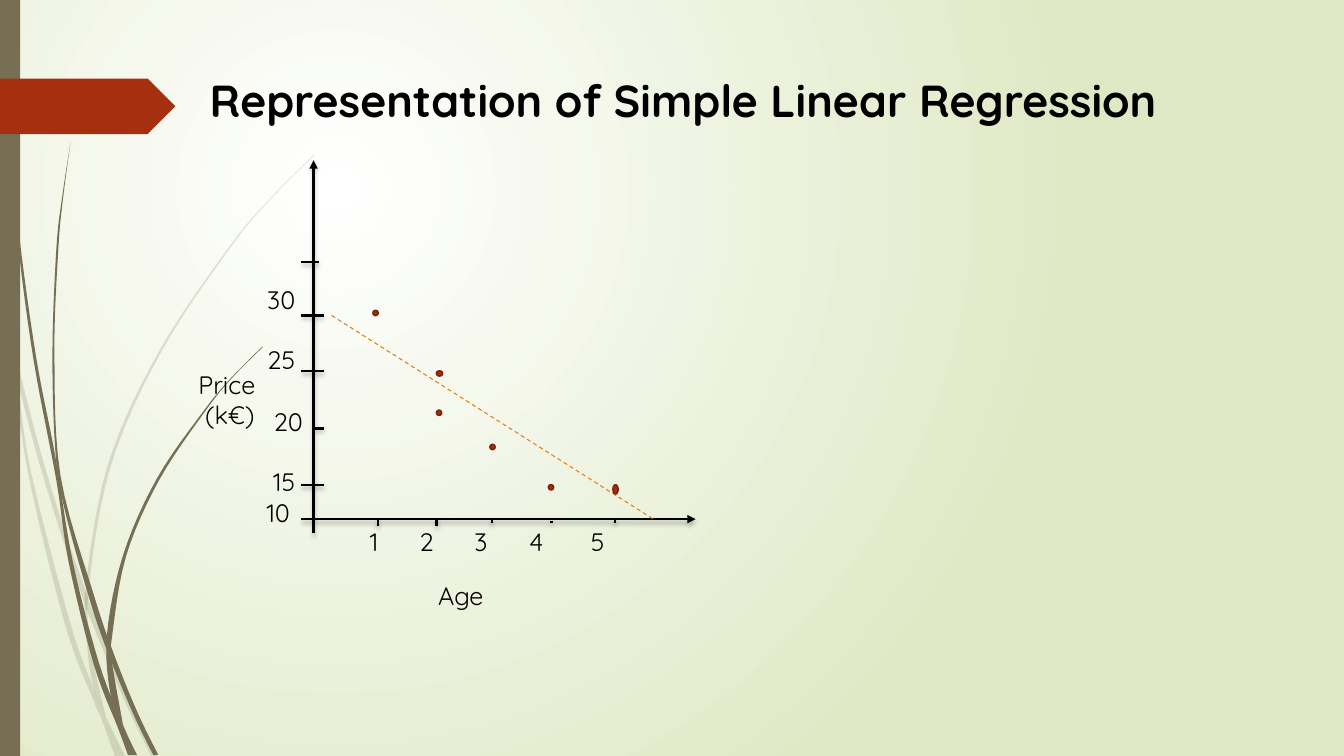
from lxml.etree import SubElement
from pptx import Presentation
from pptx.dml.color import RGBColor
from pptx.enum.dml import MSO_LINE
from pptx.enum.shapes import MSO_CONNECTOR, MSO_SHAPE
from pptx.enum.text import MSO_ANCHOR, PP_ALIGN
from pptx.oxml.ns import qn
from pptx.util import Inches, Pt

BLACK = RGBColor(0x00, 0x00, 0x00)
WHITE = RGBColor(0xFF, 0xFF, 0xFF)
PALE_GREEN = RGBColor(0xDF, 0xE8, 0xC4)
OLIVE = RGBColor(0x76, 0x6F, 0x54)
RED = RGBColor(0xA5, 0x30, 0x10)
DARK_RED = RGBColor(0x7A, 0x24, 0x0C)
DOT_RED = RGBColor(0x9E, 0x2E, 0x0F)
ORANGE = RGBColor(0xDE, 0x7E, 0x18)
FONT = "Quicksand"

presentation = Presentation()
presentation.slide_width = Inches(13.33)
presentation.slide_height = Inches(7.5)
slide = presentation.slides.add_slide(presentation.slide_layouts[5])
shapes = slide.shapes


def add_line(x1, y1, x2, y2, color=BLACK, width=1.75, shadow=True, arrow=False):
    line = shapes.add_connector(
        MSO_CONNECTOR.STRAIGHT, Inches(x1), Inches(y1), Inches(x2), Inches(y2)
    )
    line.line.color.rgb = color
    line.line.width = Pt(width)
    properties = line._element.spPr
    if arrow:
        SubElement(properties.find(qn("a:ln")), qn("a:tailEnd"), type="triangle")
    effects = SubElement(properties, qn("a:effectLst"))
    if shadow:
        outer = SubElement(effects, qn("a:outerShdw"), blurRad=str(Pt(3)),
                           dist=str(Pt(2)), dir="5400000", rotWithShape="0")
        shade = SubElement(outer, qn("a:srgbClr"), val="000000")
        SubElement(shade, qn("a:alpha"), val="25000")
    return line


def add_label(text, center_x, center_y):
    width, height = 1, 0.32
    label = shapes.add_textbox(Inches(center_x - width / 2), Inches(center_y - height / 2),
                               Inches(width), Inches(height))
    frame = label.text_frame
    frame.word_wrap = True
    frame.margin_left = frame.margin_right = frame.margin_top = frame.margin_bottom = 0
    frame.vertical_anchor = MSO_ANCHOR.MIDDLE
    frame.text = text
    paragraph = frame.paragraphs[0]
    paragraph.alignment = PP_ALIGN.CENTER
    font = paragraph.runs[0].font
    font.name, font.size, font.color.rgb = FONT, Pt(18), BLACK


background = slide.background.fill
background.gradient()
for stop, color in zip(background.gradient_stops, (WHITE, PALE_GREEN)):
    stop.color.rgb = color
gradient = next(slide.element.iter(qn("a:gradFill")))
gradient.remove(gradient.find(qn("a:lin")))
circle = SubElement(gradient, qn("a:path"))
circle.set("path", "circle")
SubElement(circle, qn("a:fillToRect"), l="50000", t="50000", r="100000", b="100000")

grass_blades = [
    (20, [(0, 2.99), (0.1, 3.44), (0.17, 3.76), (0.36, 4.49), (0.58, 5.22), (0.84, 5.99),
          (0.88, 6.1), (1.23, 6.94), (1.5, 7.5)],
     [(0, 2.82), (0.09, 3.22), (0.14, 3.45), (0.36, 4.33), (0.62, 5.2), (0.85, 5.86),
      (0.92, 6.07), (1.27, 6.92), (1.55, 7.5)]),
    (20, [(0.11, 3.5), (0.28, 4.7), (0.65, 6.21), (0.92, 6.93), (1.01, 7.14), (1.14, 7.5)],
     [(0.11, 3.5), (0.17, 3.76), (0.31, 4.69), (0.7, 6.19), (0.93, 6.83), (1.05, 7.11),
      (1.24, 7.5)]),
    (20, [(3.12, 1.53), (2.68, 1.97), (2.28, 2.44), (1.58, 3.48), (1.07, 4.61), (0.85, 5.84),
          (0.87, 6.46), (0.93, 6.83), (1.05, 7.11)],
     [(3.12, 1.54), (2.68, 1.98), (2.29, 2.45), (1.6, 3.49), (1.1, 4.62), (0.88, 5.84),
      (0.91, 6.46), (1.05, 7.11)]),
    (100, [(0.03, 0), (0.04, 0.48), (0.07, 1.1), (0.17, 2.33), (0.33, 3.55), (0.56, 4.77),
           (0.68, 5.57), (0.93, 6.59), (1.17, 7.22), (1.27, 7.49)],
     [(0.04, 0), (0.05, 0.48), (0.08, 1.09), (0.19, 2.32), (0.36, 3.55), (0.55, 4.53),
      (0.72, 5.56), (0.98, 6.57), (1.22, 7.19), (1.36, 7.49)]),
    (100, [(0.7, 1.41), (0.62, 1.93), (0.56, 2.45), (0.52, 3.49), (0.55, 4.49), (0.64, 5.05),
           (0.88, 5.92), (1.06, 6.45), (1.32, 7.08), (1.52, 7.49)],
     [(0.7, 1.41), (0.63, 1.93), (0.58, 2.45), (0.54, 3.49), (0.6, 4.72), (0.93, 5.9),
      (1.13, 6.49), (1.36, 7.06), (1.57, 7.49)]),
    (100, [(2.6, 3.44), (2.31, 3.73), (2.04, 4.05), (1.56, 4.74), (1.22, 5.51), (1.06, 6.31),
           (1.1, 6.91), (1.22, 7.19)],
     [(2.61, 3.44), (2.31, 3.74), (2.05, 4.06), (1.58, 4.76), (1.25, 5.52), (1.11, 6.33),
      (1.11, 6.56), (1.22, 7.19)]),
]
for opacity, left_edge, right_edge in grass_blades:
    outline = []
    for edge in (left_edge, right_edge[::-1]):
        padded = [edge[0], *edge, edge[-1]]
        for a, b, c, d in zip(padded, padded[1:], padded[2:], padded[3:]):
            for step in range(6):
                t = step / 6
                outline.append(tuple(
                    Inches(q + t * (r - p) / 2
                           + t ** 2 * (2 * p - 5 * q + 4 * r - s) / 2
                           + t ** 3 * (3 * q - p - 3 * r + s) / 2)
                    for p, q, r, s in zip(a, b, c, d)))
        outline.append((Inches(edge[-1][0]), Inches(edge[-1][1])))
    builder = shapes.build_freeform(*outline[0])
    builder.add_line_segments(outline[1:])
    blade = builder.convert_to_shape()
    blade.shadow.inherit = False
    blade.fill.solid()
    blade.fill.fore_color.rgb = OLIVE
    blade.line.fill.background()
    if opacity < 100:
        fill_color = blade._element.spPr.find(qn("a:solidFill"))[0]
        SubElement(fill_color, qn("a:alpha"), val=str(opacity * 1000))

for preset, top, width, height, color in [
    (MSO_SHAPE.RECTANGLE, 0, 0.2, 7.5, OLIVE),
    (MSO_SHAPE.PENTAGON, 0.78, 1.74, 0.55, RED),
]:
    band = shapes.add_shape(preset, 0, Inches(top), Inches(width), Inches(height))
    band.shadow.inherit = False
    band.fill.solid()
    band.fill.fore_color.rgb = color
    band.line.fill.background()

title = shapes.title
title.left, title.top, title.width, title.height = Inches(2.08), Inches(0.66), Inches(10.5), Inches(0.66)
frame = title.text_frame
frame.margin_left = frame.margin_right = frame.margin_top = frame.margin_bottom = 0
frame.vertical_anchor = MSO_ANCHOR.MIDDLE
frame.text = "Representation of Simple Linear Regression"
frame.paragraphs[0].alignment = PP_ALIGN.LEFT
font = frame.paragraphs[0].runs[0].font
font.name, font.size, font.bold, font.color.rgb = FONT, Pt(32), True, BLACK

add_line(3.11, 5.29, 3.11, 1.59, arrow=True)
add_line(2.99, 5.15, 6.9, 5.15, arrow=True)
for left, right, y in [(3.11, 3.21, 4.25), (2.99, 3.21, 4.81), (2.99, 3.21, 3.68),
                       (2.99, 3.21, 3.13), (2.99, 3.16, 2.6)]:
    add_line(left, y, right, y)
for x, top, bottom in [(3.75, 5.15, 5.22), (4.33, 5.15, 5.22), (4.88, 5.15, 5.19),
                       (5.47, 5.17, 5.19), (6.1, 5.15, 5.19)]:
    add_line(x, top, x, bottom)

regression = add_line(3.29, 3.13, 6.48, 5.15, ORANGE, 0.75, shadow=False)
regression.line.dash_style = MSO_LINE.DASH
add_line(8.55, 4.8, 8.55, 4.8, DOT_RED, 0.75, shadow=False)

for x, y, width, height in [(3.7, 3.08, 0.05, 0.05), (4.33, 3.68, 0.06, 0.05),
                            (4.33, 4.07, 0.05, 0.05), (4.86, 4.41, 0.05, 0.05),
                            (5.44, 4.81, 0.05, 0.05), (6.08, 4.81, 0.05, 0.09)]:
    point = shapes.add_shape(MSO_SHAPE.FLOWCHART_CONNECTOR, Inches(x), Inches(y),
                             Inches(width), Inches(height))
    point.shadow.inherit = False
    point.fill.solid()
    point.fill.fore_color.rgb = RED
    point.line.color.rgb = DARK_RED
    point.line.width = Pt(1.25)

for text, x, y in [("30", 2.79, 2.97), ("25", 2.79, 3.57), ("20", 2.86, 4.18),
                   ("15", 2.82, 4.78), ("10", 2.76, 5.08),
                   ("Price", 2.25, 3.81), ("(k€)", 2.28, 4.11), ("Age", 4.57, 5.91)]:
    add_label(text, x, y)
for age, x in enumerate((3.71, 4.23, 4.77, 5.32, 5.93), start=1):
    add_label(str(age), x, 5.37)

presentation.save("out.pptx")
